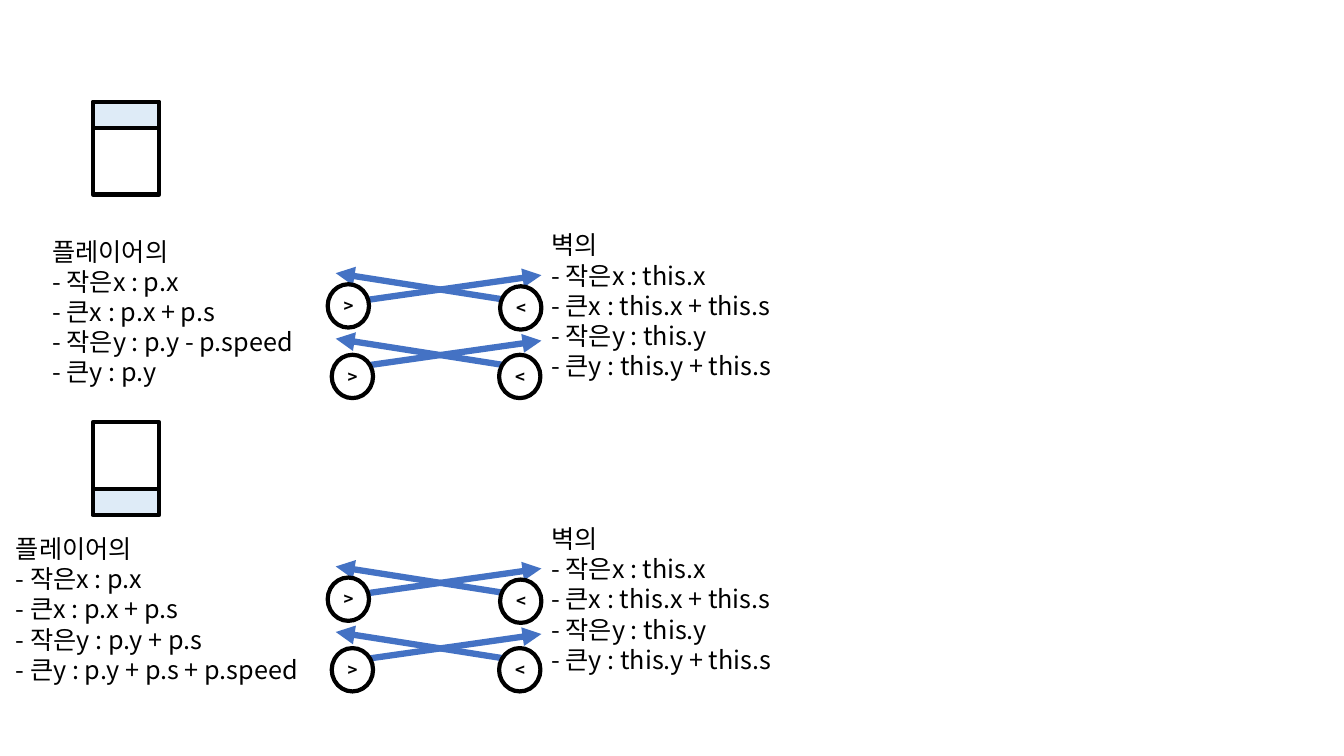
from lxml import etree
from pptx import Presentation
from pptx import util as u
from pptx.dml.color import RGBColor
from pptx.enum import shapes, text
from pptx.oxml.ns import qn

# The slide is a grid of square cells, a tenth of an inch each.
COLUMNS, ROWS = 133.3, 75
CELL = u.Inches(0.1)
FONT = "Noto Sans CJK KR"
BLACK, WHITE, BLUE, PALE_BLUE = "000000", "FFFFFF", "4472C4", "DEEBF7"

BLOCK_STEP = 29.1   # rows from the upper comparison to the lower one
PAIR_STEP = 6.5     # rows from the x arrows to the y arrows
PLAYER_COLUMN, PLAYER_SIZE, SPEED_SIZE = 9.2, 6.6, 2.6
ARROW_LEFT, ARROW_RIGHT, ARROW_TOP = 33.3, 53.7, 27.1

WALL_LINES = [
    "벽의",
    "- 작은x : this.x",
    "- 큰x : this.x + this.s",
    "- 작은y : this.y",
    "- 큰y : this.y + this.s",
]
PLAYER_UP_LINES = [
    "플레이어의",
    "- 작은x : p.x",
    "- 큰x : p.x + p.s",
    "- 작은y : p.y - p.speed",
    "- 큰y : p.y",
]
PLAYER_DOWN_LINES = [
    "플레이어의",
    "- 작은x : p.x",
    "- 큰x : p.x + p.s",
    "- 작은y : p.y + p.s",
    "- 큰y : p.y + p.s + p.speed",
]
# sign, column, row of each circle in the upper comparison
SIGNS = [
    [("<", 49.6, 28.4), (">", 32.5, 28.2)],
    [("<", 49.5, 35.2), (">", 32.9, 35.2)],
]


def cells(*counts):
    return [round(count * CELL) for count in counts]


def color(hex_string):
    return RGBColor.from_string(hex_string)


def write(paragraph, words, size=18, bold=False, hex_color=BLACK,
          align=text.PP_ALIGN.LEFT):
    paragraph.alignment = align
    run = paragraph.add_run()
    run.text = words
    run.font.size = u.Pt(size)
    run.font.bold = bold
    run.font.name = FONT
    run.font.color.rgb = color(hex_color)
    properties = run.font._element
    etree.SubElement(properties, qn("a:ea"), typeface=FONT)


def add_lines(slide, lines, column, row, width):
    box = slide.shapes.add_textbox(*cells(column, row, width, 16.2))
    frame = box.text_frame
    frame.word_wrap = False
    frame.auto_size = text.MSO_AUTO_SIZE.SHAPE_TO_FIT_TEXT
    for index, line in enumerate(lines):
        paragraph = frame.add_paragraph() if index else frame.paragraphs[0]
        write(paragraph, line)


def add_outlined(slide, kind, column, row, width, height, fill=WHITE):
    shape = slide.shapes.add_shape(kind, *cells(column, row, width, height))
    shape.shadow.inherit = False
    shape.fill.solid()
    shape.fill.fore_color.rgb = color(fill)
    shape.line.color.rgb = color(BLACK)
    shape.line.width = u.Pt(3)
    return shape


def add_sign(slide, sign, column, row):
    circle = add_outlined(slide, shapes.MSO_SHAPE.OVAL, column, row, 4.1, 4.3)
    frame = circle.text_frame
    frame.vertical_anchor = text.MSO_ANCHOR.MIDDLE
    write(frame.paragraphs[0], sign, size=12, bold=True,
          align=text.PP_ALIGN.CENTER)


def add_double_arrow(slide, start_row, end_row):
    arrow = slide.shapes.add_connector(
        shapes.MSO_CONNECTOR.STRAIGHT,
        *cells(ARROW_LEFT, start_row, ARROW_RIGHT, end_row))
    arrow.line.color.rgb = color(BLUE)
    arrow.line.width = u.Pt(4.5)
    outline = arrow.line._get_or_add_ln()
    for end in ("a:headEnd", "a:tailEnd"):
        etree.SubElement(outline, qn(end), type="triangle")
    etree.SubElement(outline.getparent(), qn("a:effectLst"))


def add_comparison(slide, offset):
    """Crossed arrows with their signs, and the wall's values beside them."""
    add_lines(slide, WALL_LINES, ARROW_RIGHT, 22.3 + offset, 26.6)
    for index, pair in enumerate(SIGNS):
        top = ARROW_TOP + offset + index * PAIR_STEP
        add_double_arrow(slide, top, top + 3.2)
        add_double_arrow(slide, top + 3.1, top + 0.2)
        for sign, column, row in pair:
            add_sign(slide, sign, column, row + offset)


def add_player(slide, body_row, speed_row):
    """The player's square with the strip that it moves into."""
    rectangle = shapes.MSO_SHAPE.RECTANGLE
    add_outlined(slide, rectangle, PLAYER_COLUMN, body_row,
                 PLAYER_SIZE, PLAYER_SIZE)
    add_outlined(slide, rectangle, PLAYER_COLUMN, speed_row,
                 PLAYER_SIZE, SPEED_SIZE, fill=PALE_BLUE)


def main():
    presentation = Presentation()
    presentation.slide_width, presentation.slide_height = cells(COLUMNS, ROWS)
    slide = presentation.slides.add_slide(presentation.slide_layouts[6])

    add_lines(slide, PLAYER_UP_LINES, 4.2, 22.9, 28.8)
    add_lines(slide, PLAYER_DOWN_LINES, 0.6, 52.4, 33.1)
    for block in range(2):
        add_comparison(slide, block * BLOCK_STEP)
    add_player(slide, 12.7, 12.7 - SPEED_SIZE)
    add_player(slide, 41.9, 41.9 + PLAYER_SIZE)

    presentation.save("out.pptx")


if __name__ == "__main__":
    main()
